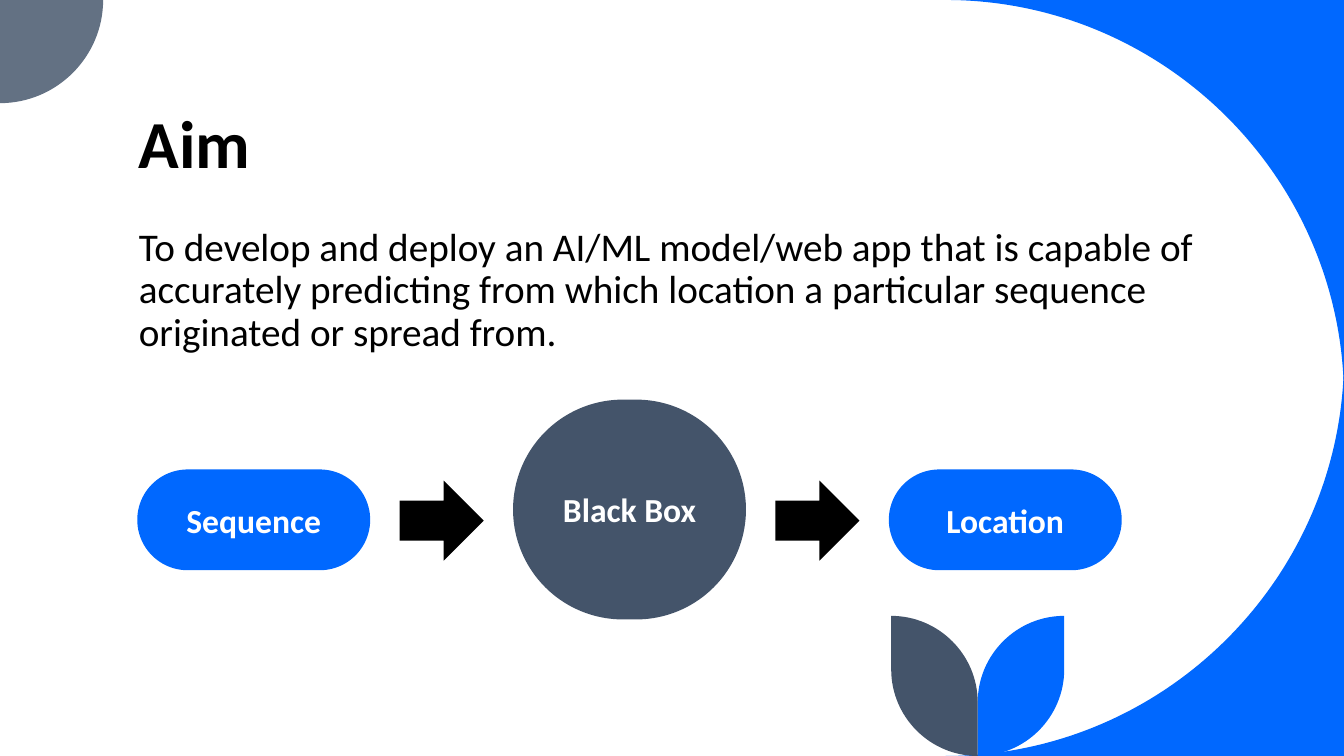
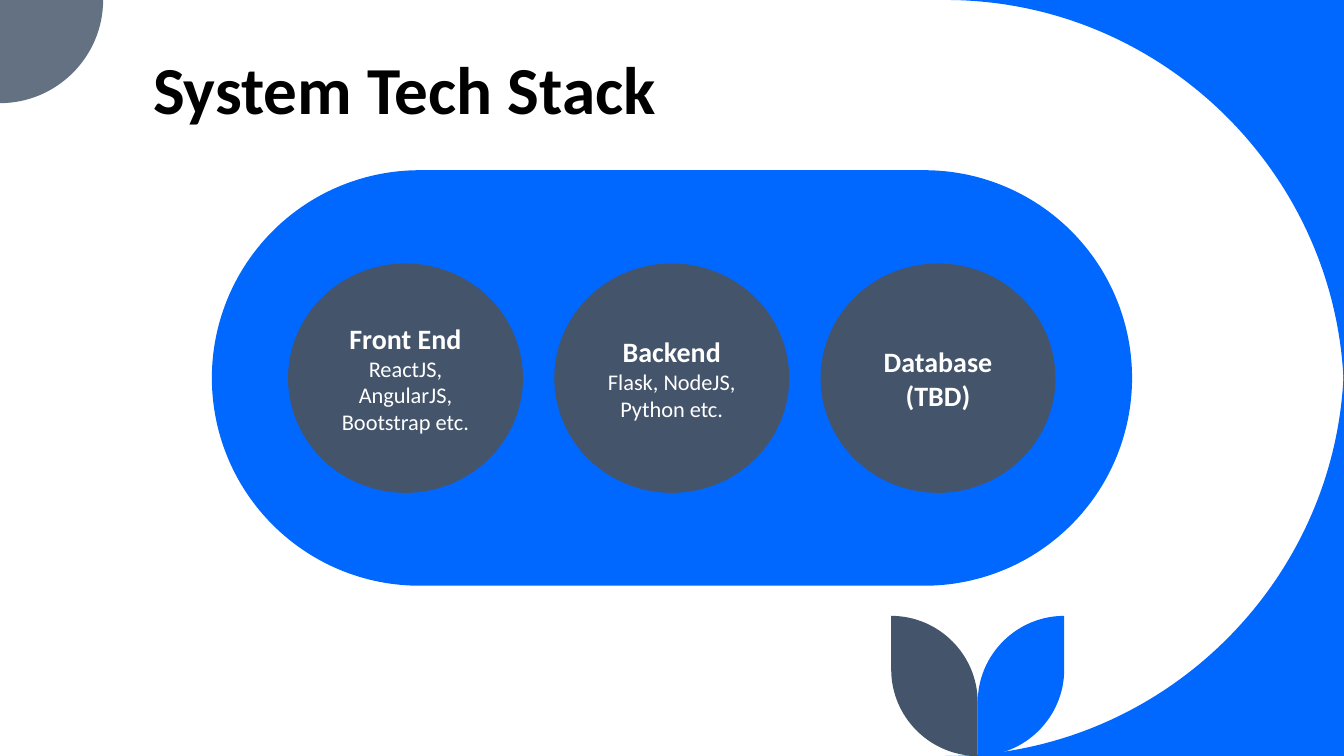
"""Build the aim and tech stack slides of a sequence location project."""
import lxml.etree
import pptx
import pptx.dml.color
import pptx.enum.shapes
import pptx.enum.text
import pptx.oxml.ns
import pptx.util

Cm = pptx.util.Cm
SHAPE = pptx.enum.shapes.MSO_SHAPE
ANCHOR = pptx.enum.text.MSO_ANCHOR
ALIGN = pptx.enum.text.PP_ALIGN

FONT = "Calibri"
COLORS = {"blue": "0068FF", "slate": "44546A", "grey": "637183",
          "black": "000000", "white": "FFFFFF"}
WIDTH, HEIGHT = 33.87, 19.05

AIM_TITLE = "Aim"
AIM = ("To develop and deploy an AI/ML model/web app that is capable of accurately "
       "predicting from which location a particular sequence originated or spread from.")
STEPS = [
    {"label": "Sequence", "color": "blue", "middle": 13.1, "height": 2.54},
    {"label": "Black Box", "color": "slate", "middle": 12.84, "height": 5.54},
    {"label": "Location", "color": "blue", "middle": 13.1, "height": 2.54},
]
STACK_TITLE = "System Tech Stack"
LAYERS = [
    ("Front End", "ReactJS, AngularJS, Bootstrap etc."),
    ("Backend", "Flask, NodeJS, Python etc."),
    ("Database (TBD)", None),
]


def rgb(color):
    return pptx.dml.color.RGBColor.from_string(COLORS[color])


def quarter(start, corner, end):
    """Return the two handles and the end of a quarter circle inside a corner."""
    handles = [tuple(p + 0.55 * (c - p) for p, c in zip(point, corner))
               for point in (start, end)]
    return handles + [end]


def swoosh(start, corner, end):
    return [[corner], [start], quarter(start, corner, end)]


def leaf(side):
    edge = STEM + side * LEAF
    tip, foot = (edge, LEAF_TOP), (STEM, HEIGHT)
    outer, inner = (edge, HEIGHT - LEAF), (STEM, LEAF_TOP + LEAF)
    return [[tip], [outer], quarter(outer, (edge, HEIGHT), foot),
            [inner], quarter(inner, (STEM, LEAF_TOP), tip)]


SWEEP, SPOT = 10.04, 2.6
STEM, LEAF, LEAF_TOP = 24.64, 2.18, 15.52
SWEEP_LEFT = WIDTH - SWEEP
DECOR = [
    ("blue", swoosh((SWEEP_LEFT, 0), (WIDTH, 0), (WIDTH, SWEEP))),
    ("blue", swoosh((WIDTH, HEIGHT - SWEEP), (WIDTH, HEIGHT), (SWEEP_LEFT, HEIGHT))),
    ("grey", [[(0, 0)], [(SPOT, 0)], quarter((SPOT, 0), (SPOT, SPOT), (0, SPOT))]),
    ("blue", leaf(1)),
    ("slate", leaf(-1)),
]


def paint(shape, color):
    shape.shadow.inherit = False
    shape.fill.solid()
    shape.fill.fore_color.rgb = rgb(color)
    shape.line.fill.background()


def add_outline(slide, color, segments):
    points = [(Cm(x), Cm(y)) for segment in segments for x, y in segment]
    builder = slide.shapes.build_freeform(*points[0])
    builder.add_line_segments(points[1:], close=True)
    outline = builder.convert_to_shape()
    qn = pptx.oxml.ns.qn
    lines = iter(list(outline.element.iter(qn("a:lnTo"))))
    for segment in segments[1:]:
        parts = [next(lines) for _ in segment]
        if len(parts) == 3:
            curve = lxml.etree.Element(qn("a:cubicBezTo"))
            parts[0].addprevious(curve)
            for part in parts:
                curve.append(part[0])
                part.getparent().remove(part)
    paint(outline, color)


def write(frame, lines, color, anchor, align, spacing=1.0):
    frame.word_wrap = True
    frame.vertical_anchor = anchor
    for i, (text, size, bold) in enumerate(lines):
        paragraph = frame.add_paragraph() if i else frame.paragraphs[0]
        paragraph.alignment = align
        paragraph.line_spacing = spacing
        run = paragraph.add_run()
        run.text = text
        run.font.name = FONT
        run.font.size = pptx.util.Pt(size)
        run.font.bold = bold
        run.font.color.rgb = rgb(color)


def add_text(slide, box, text, size, bold, anchor):
    frame = slide.shapes.add_textbox(*map(Cm, box)).text_frame
    write(frame, [(text, size, bold)], "black", anchor, ALIGN.LEFT, 0.9)


def add_block(slide, kind, box, color, lines=()):
    block = slide.shapes.add_shape(kind, *map(Cm, box))
    if kind == SHAPE.ROUNDED_RECTANGLE:
        block.adjustments[0] = 0.5
    paint(block, color)
    write(block.text_frame, lines, "white", ANCHOR.MIDDLE, ALIGN.CENTER)


def new_slide(deck, title, title_box):
    slide = deck.slides.add_slide(deck.slide_layouts[6])
    for color, segments in DECOR:
        add_outline(slide, color, segments)
    add_text(slide, title_box, title, 48, True, ANCHOR.BOTTOM)
    return slide


def aim_slide(deck):
    slide = new_slide(deck, AIM_TITLE, (3.25, 0.38, 27.15, 4.37))
    add_text(slide, (3.25, 5.61, 27.15, 9.35), AIM, 28, False, ANCHOR.TOP)
    left, pitch, width = 3.46, 9.47, 5.87
    arrow_width, arrow_height = 2.12, 2.02
    for i, step in enumerate(STEPS):
        x = left + i * pitch
        box = (x, step["middle"] - step["height"] / 2, width, step["height"])
        add_block(slide, SHAPE.ROUNDED_RECTANGLE, box, step["color"],
                  [(step["label"], 24, True)])
        if i < len(STEPS) - 1:
            arrow_left = x + (width + pitch - arrow_width) / 2
            add_block(slide, SHAPE.RIGHT_ARROW,
                      (arrow_left, 12.11, arrow_width, arrow_height), "black")


def stack_slide(deck):
    slide = new_slide(deck, STACK_TITLE, (3.61, 1.87, 17.58, 1.5))
    add_block(slide, SHAPE.ROUNDED_RECTANGLE, (5.34, 4.29, 23.19, 10.47), "blue")
    for i, (layer, tools) in enumerate(LAYERS):
        lines = [(layer, 20, True)] + ([(tools, 16, False)] if tools else [])
        add_block(slide, SHAPE.OVAL, (7.26 + i * 6.71, 6.64, 5.92, 5.78), "slate", lines)


def main():
    deck = pptx.Presentation()
    deck.slide_width, deck.slide_height = Cm(WIDTH), Cm(HEIGHT)
    aim_slide(deck)
    stack_slide(deck)
    deck.save("out.pptx")


if __name__ == "__main__":
    main()
